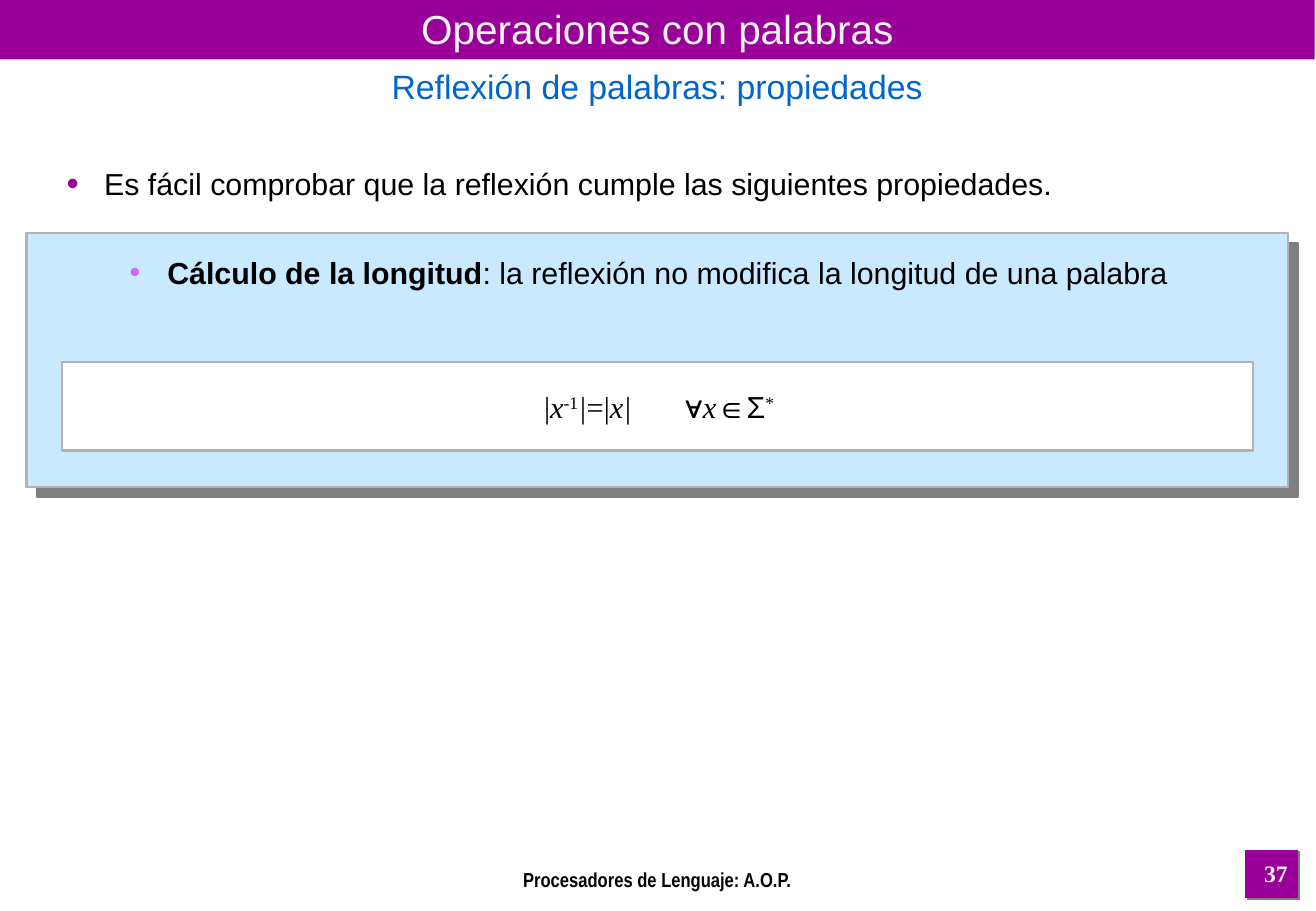
from lxml.etree import SubElement
from pptx import Presentation
from pptx.dml.color import RGBColor
from pptx.enum.shapes import MSO_SHAPE
from pptx.enum.text import MSO_ANCHOR, PP_ALIGN
from pptx.oxml.ns import qn
from pptx.util import Pt

PX = 9144  # 100 px to the inch
WIDTH, HEIGHT = 1084, 750

PURPLE = RGBColor(0x99, 0x00, 0x99)
VIOLET = RGBColor(0xCC, 0x66, 0xFF)
BLUE = RGBColor(0x00, 0x66, 0xCC)
PALE_BLUE = RGBColor(0xC9, 0xE9, 0xFF)
WHITE = RGBColor(0xFF, 0xFF, 0xFF)
OFF_WHITE = RGBColor(0xF2, 0xF2, 0xF2)
SILVER = RGBColor(0xB2, 0xB2, 0xB2)
GRAY = RGBColor(0x80, 0x80, 0x80)
BLACK = RGBColor(0x00, 0x00, 0x00)

SANS, NARROW, SERIF = "Arial", "Arial Narrow", "Times New Roman"

# text, font, italic, superscript
FORMULA = [
    ("|", SERIF, False, False),
    ("x", SERIF, True, False),
    ("-1", SERIF, False, True),
    ("|", SERIF, True, False),
    ("=|", SERIF, False, False),
    ("x|", SERIF, True, False),
    (" ", SERIF, True, False),
    ("∀", SANS, False, False),
    ("x", SERIF, True, False),
    ("∈Σ", SANS, False, False),
    ("*", SERIF, False, True),
]
FORMULA_GAP = 27  # points added to the blank before the quantifier


def add_panel(page, box, fill, line=None, line_width=1.5, shadow=None):
    """Add a rectangle; shadow is its diagonal offset in points."""
    panel = page.shapes.add_shape(MSO_SHAPE.RECTANGLE, *(n * PX for n in box))
    panel.shadow.inherit = False
    panel.fill.solid()
    panel.fill.fore_color.rgb = fill
    if line is None:
        panel.line.fill.background()
    else:
        panel.line.color.rgb = line
        panel.line.width = Pt(line_width)
    if shadow:
        effects = panel._element.spPr.find(qn("a:effectLst"))
        outer = SubElement(effects, qn("a:outerShdw"), dist=str(Pt(shadow)),
                           dir="2700000", algn="ctr", rotWithShape="0")
        SubElement(outer, qn("a:srgbClr"), val=str(GRAY))


def add_frame(page, box):
    frame = page.shapes.add_textbox(*(n * PX for n in box)).text_frame
    frame.word_wrap = True
    return frame


def style(font, name, size, color, bold=False, italic=False):
    font.name, font.size = name, Pt(size)
    font.bold, font.italic = bold, italic
    font.color.rgb = color


def add_label(page, box, text, name, size, color, bold=False):
    """Add one centred line and return its frame."""
    frame = add_frame(page, box)
    para = frame.paragraphs[0]
    para.text = text
    para.alignment = PP_ALIGN.CENTER
    style(para.runs[0].font, name, size, color, bold)
    return frame


def add_bullet(para, margin, color, percent):
    properties = para._p.get_or_add_pPr()
    properties.set("marL", str(margin * PX))
    properties.set("indent", str(-31 * PX))
    tint = SubElement(properties, qn("a:buClr"))
    SubElement(tint, qn("a:srgbClr"), val=str(color))
    SubElement(properties, qn("a:buSzPct"), val=str(percent * 1000))
    SubElement(properties, qn("a:buFont"), typeface=SANS)
    SubElement(properties, qn("a:buChar"), char="•")


def add_span(para, text, name=SANS, bold=False, italic=False):
    span = para.add_run()
    span.text = text
    style(span.font, name, 18, BLACK, bold, italic)
    return span


def add_header(page, box):
    left, top, width, height = box
    add_panel(page, (left, top, width, 49), PURPLE)
    title = add_label(page, (left, top + 6, width, 35),
                      "Operaciones con palabras", SANS, 24, OFF_WHITE)
    title.vertical_anchor = MSO_ANCHOR.MIDDLE
    add_label(page, (left, top + 49, width, height - 49),
              "Reflexión de palabras: propiedades", SANS, 20, BLUE)


def add_property(page, box):
    """Place the framed property and the text that runs over its frames."""
    left, top, width, height = box
    add_panel(page, (left, top + 61, width, height - 61), PALE_BLUE, SILVER, shadow=8.5)
    add_panel(page, (left + 29, top + 167, width - 58, 73), WHITE, SILVER)

    frame = add_frame(page, (left + 23, top, width - 43, 222))
    intro = frame.paragraphs[0]
    add_bullet(intro, 31, PURPLE, 115)
    add_span(intro, "Es fácil comprobar que la reflexión cumple las siguientes propiedades.")

    claim = frame.add_paragraph()
    claim.level = 1
    add_bullet(claim, 83, VIOLET, 100)
    claim.space_before = Pt(31)
    add_span(claim, "Cálculo de la longitud", bold=True)
    add_span(claim, ": la reflexión no modifica la longitud de una palabra")

    formula = frame.add_paragraph()
    formula.alignment = PP_ALIGN.CENTER
    formula.space_before = Pt(58)
    for text, name, italic, superscript in FORMULA:
        properties = add_span(formula, text, name, italic=italic).font._element
        if superscript:
            properties.set("baseline", "30000")
        if text == " ":
            properties.set("spc", str(FORMULA_GAP * 100))


def add_footer(page, box):
    left, top, width, height = box
    add_label(page, (left + 301, top + 9, 481, 18),
              "Procesadores de Lenguaje: A.O.P.", NARROW, 12, BLACK, True)
    add_panel(page, (left + width - 58, top, 43, height), PURPLE, PURPLE, 0.75, shadow=1.4)
    add_label(page, (left + width - 60, top + 2, 54, 35), "37", SERIF, 14, OFF_WHITE, True)


def main():
    deck = Presentation()
    deck.slide_width, deck.slide_height = WIDTH * PX, HEIGHT * PX
    page = deck.slides.add_slide(deck.slide_layouts[6])
    add_header(page, (0, 0, 1083, 93))
    add_property(page, (22, 131, 1039, 270))
    add_footer(page, (0, 700, WIDTH, 39))
    deck.save("out.pptx")


if __name__ == "__main__":
    main()
